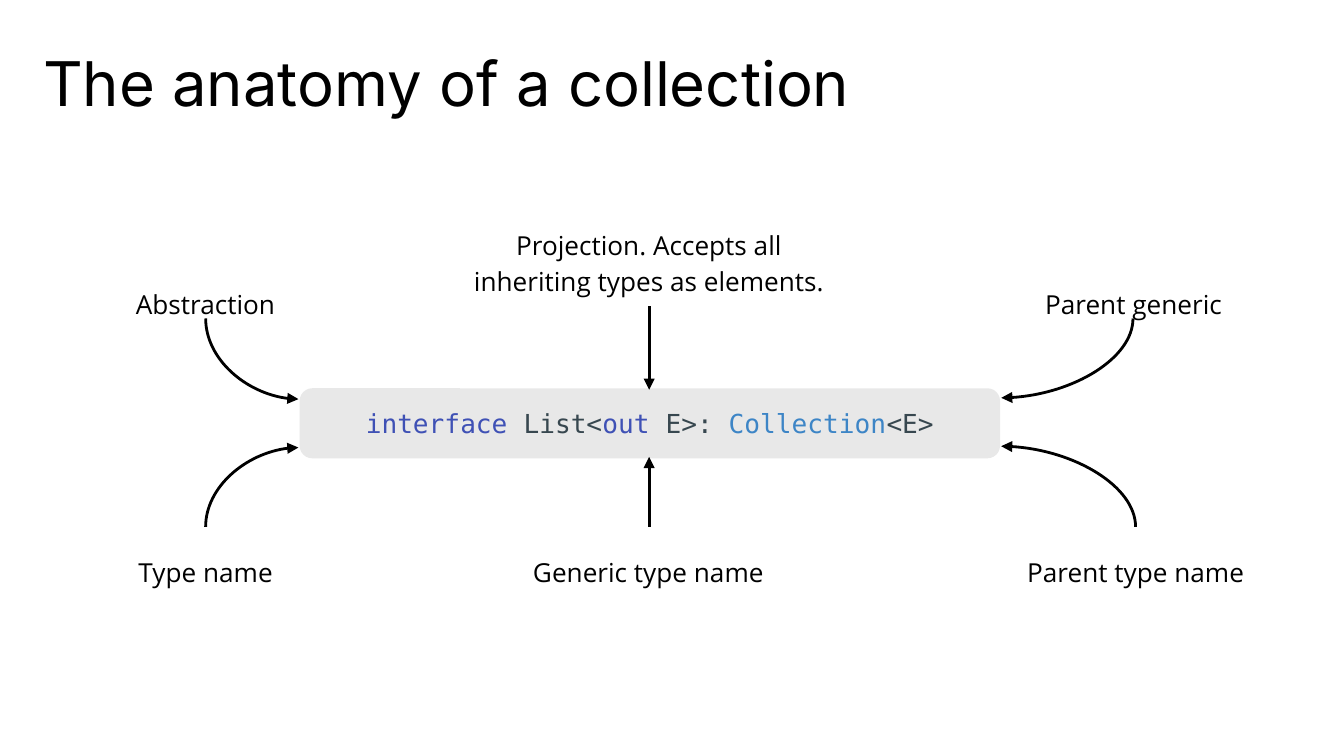
from typing import Any, NamedTuple

from lxml.etree import SubElement
from pptx import Presentation
from pptx.dml.color import RGBColor
from pptx.enum.shapes import MSO_CONNECTOR as Link, MSO_SHAPE as Preset
from pptx.enum.text import MSO_ANCHOR as Anchor, MSO_AUTO_SIZE as AutoSize, PP_ALIGN as Align
from pptx.oxml.ns import qn
from pptx.util import Inches, Pt

BLACK = RGBColor(0x00, 0x00, 0x00)
GRAY = RGBColor(0xE8, 0xE8, 0xE8)
INDIGO = RGBColor(0x3F, 0x51, 0xB5)
SLATE = RGBColor(0x37, 0x47, 0x4F)
BLUE = RGBColor(0x3D, 0x85, 0xC6)

PAGE_WIDTH = Inches(10)
PAGE_HEIGHT = PAGE_WIDTH * 9 // 16
UPPER, LOWER = 1.93, 3.92
INSET = Inches(0.1)
LINE_WIDTH = Pt(1.5)


class Label(NamedTuple):
    text: str
    left: float
    top: float
    width: float
    height: float = 0.44
    spacing: float = 1.5


class Arrow(NamedTuple):
    start: tuple[float, float]
    end: tuple[float, float]


class Token(NamedTuple):
    text: str
    color: RGBColor


LABELS = [
    Label("Abstraction", 0.87, UPPER, 1.32),
    Label("Projection. Accepts all inheriting types as elements.", 3.3, 1.57, 3.06, 0.71, 1.15),
    Label("Parent generic", 7.62, UPPER, 1.63),
    Label("Type name", 0.87, LOWER, 1.32),
    Label("Generic type name", 3.75, LOWER, 2.15),
    Label("Parent type name", 7.44, LOWER, 2.02),
]

ARROWS = [
    Arrow((4.83, 2.28), (4.83, 2.9)),
    Arrow((4.83, LOWER), (4.83, 3.4)),
    Arrow((1.53, 2.37), (2.22, 2.97)),
    Arrow((1.53, LOWER), (2.22, 3.33)),
    Arrow((8.45, LOWER), (7.45, 3.32)),
    Arrow((8.43, 2.37), (7.45, 2.96)),
]

CODE = [
    Token("interface", INDIGO),
    Token(" List<", SLATE),
    Token("out", INDIGO),
    Token(" E>: ", SLATE),
    Token("Collection", BLUE),
    Token("<E>", SLATE),
]


def apply(target: Any, formats: dict[str, Any]) -> None:
    for name, value in formats.items():
        setattr(target, name, value)


def frame_format(side: int = INSET, **extra: Any) -> dict[str, Any]:
    return {
        "margin_left": side,
        "margin_right": side,
        "margin_top": INSET,
        "margin_bottom": INSET,
        "word_wrap": True,
        "vertical_anchor": Anchor.TOP,
        **extra,
    }


def add_span(para: Any, text: str, font: str, size: int, color: RGBColor = BLACK) -> None:
    span = para.add_run()
    span.text = text
    apply(span.font, {"name": font, "size": Pt(size)})
    span.font.color.rgb = color


def add_title(page: Any, text: str) -> None:
    title = page.shapes.title
    apply(title, {"left": Inches(0.32), "top": Inches(0.32), "width": Inches(9.3), "height": Inches(0.5)})
    apply(title.text_frame, frame_format(0, auto_size=AutoSize.NONE))
    para = title.text_frame.paragraphs[0]
    apply(para, {"alignment": Align.LEFT, "line_spacing": 0.85})
    add_span(para, text, "Inter", 33)


def add_code(page: Any, tokens: list[Token]) -> None:
    box = page.shapes.add_shape(
        Preset.ROUNDED_RECTANGLE, Inches(2.24), Inches(2.9), Inches(5.19), Inches(0.5)
    )
    box.shadow.inherit = False
    box.fill.solid()
    box.fill.fore_color.rgb = GRAY
    box.line.color.rgb = GRAY
    box.line.width = LINE_WIDTH
    apply(box.text_frame, frame_format(vertical_anchor=Anchor.MIDDLE))
    para = box.text_frame.paragraphs[0]
    para.alignment = Align.CENTER
    for token in tokens:
        add_span(para, token.text, "DejaVu Sans Mono", 14, token.color)


def add_label(page: Any, label: Label) -> None:
    box = page.shapes.add_textbox(
        Inches(label.left), Inches(label.top), Inches(label.width), Inches(label.height)
    )
    apply(box.text_frame, frame_format(auto_size=AutoSize.SHAPE_TO_FIT_TEXT))
    para = box.text_frame.paragraphs[0]
    apply(para, {"alignment": Align.CENTER, "line_spacing": label.spacing})
    add_span(para, label.text, "Open Sans", 14)


def add_curve(page: Any, arrow: Arrow) -> Any:
    (x1, y1), (x2, y2) = arrow
    center_x, center_y = (x1 + x2) / 2, (y1 + y2) / 2
    half_width, half_height = abs(y2 - y1) / 2, abs(x2 - x1) / 2
    if (x2 > x1) == (y2 > y1):
        half_width = -half_width
    curve = page.shapes.add_connector(
        Link.CURVE,
        Inches(center_x - half_width),
        Inches(center_y - half_height),
        Inches(center_x + half_width),
        Inches(center_y + half_height),
    )
    properties = curve._element.spPr
    properties.find(qn("a:prstGeom")).set("prst", "curvedConnector2")
    degrees = 270 if x2 > x1 else 90
    properties.find(qn("a:xfrm")).set("rot", str(degrees * 60000))
    return curve


def add_arrow(page: Any, arrow: Arrow) -> None:
    if arrow.start[0] == arrow.end[0]:
        points = [Inches(value) for value in arrow.start + arrow.end]
        link = page.shapes.add_connector(Link.STRAIGHT, *points)
    else:
        link = add_curve(page, arrow)
    link.line.color.rgb = BLACK
    link.line.width = LINE_WIDTH
    SubElement(link.line._get_or_add_ln(), qn("a:tailEnd"), type="triangle")
    SubElement(link._element.spPr, qn("a:effectLst"))


def main() -> None:
    deck = Presentation()
    apply(deck, {"slide_width": PAGE_WIDTH, "slide_height": PAGE_HEIGHT})
    page = deck.slides.add_slide(deck.slide_layouts[5])
    add_title(page, "The anatomy of a collection")
    add_code(page, CODE)
    for label in LABELS:
        add_label(page, label)
    for arrow in ARROWS:
        add_arrow(page, arrow)
    deck.save("out.pptx")


if __name__ == "__main__":
    main()
